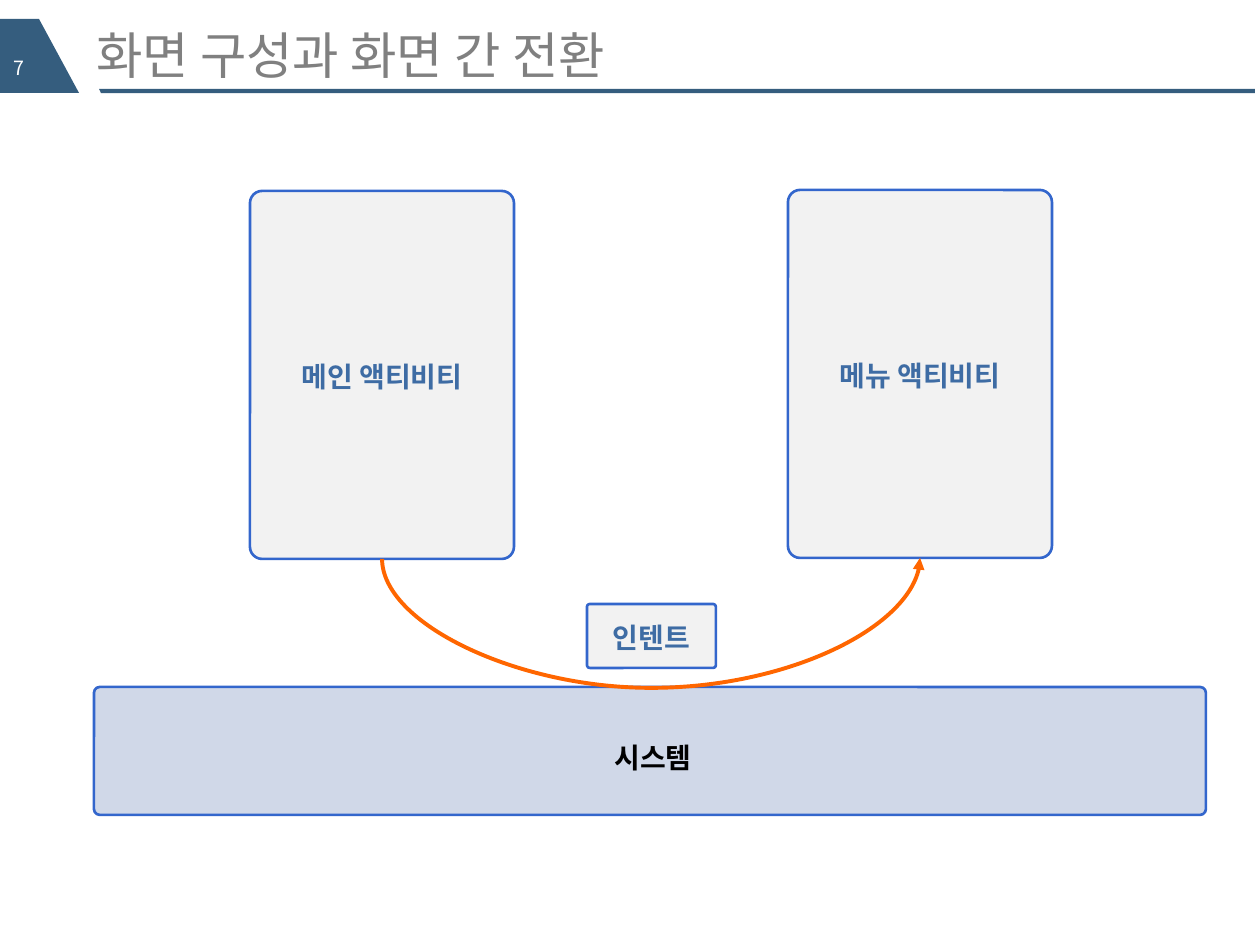
from dataclasses import dataclass

from lxml import etree
from pptx import Presentation
from pptx.dml.color import RGBColor
from pptx.enum.shapes import MSO_CONNECTOR, MSO_SHAPE
from pptx.enum.text import MSO_ANCHOR, PP_ALIGN
from pptx.oxml.ns import qn
from pptx.util import Pt

PX = 914400 // 126
FONT = "Noto Sans CJK KR"
NAVY, BLUE, ORANGE, GRAY = "355D7E", "3366CC", "FF6600", "F2F2F2"
ROUND = MSO_SHAPE.ROUNDED_RECTANGLE
CURVE = MSO_CONNECTOR.CURVE
MIDDLE, TOP = MSO_ANCHOR.MIDDLE, MSO_ANCHOR.TOP
CENTER = PP_ALIGN.CENTER


@dataclass
class Box:
    text: str
    left: int
    top: int
    width: int
    height: int
    fill: str = GRAY
    ink: str = "3E6CA4"
    lead: float = 1.1


@dataclass
class Label:
    text: str
    left: int
    top: int
    width: int
    height: int
    size: float
    ink: str
    anchor: MSO_ANCHOR


BANDS = [
    [(99, 89), (1255, 89), (1255, 93), (101, 93)],
    [(39, 19), (79, 93), (0, 93), (0, 19)],
]
LABELS = [
    Label("7", 1, 50, 73, 34, 11.2, "FFFFFF", TOP),
    Label("화면 구성과 화면 간 전환", 84, 32, 1124, 44, 28.8, "808080", MIDDLE),
]
MAIN = Box("메인 액티비티", 250, 191, 264, 368)
MENU = Box("메뉴 액티비티", 788, 190, 264, 368)
SYSTEM = Box(" 시스템", 94, 687, 1112, 128, "D0D8E8", "000000", 1.4)
INTENT = Box("인텐트", 587, 604, 129, 64)


def color(code: str) -> RGBColor:
    return RGBColor.from_string(code)


def paint(shape, code: str) -> None:
    shape.shadow.inherit = False
    shape.fill.solid()
    shape.fill.fore_color.rgb = color(code)


def write(shape, text: str, size: float, ink: str, anchor: MSO_ANCHOR):
    frame = shape.text_frame
    frame.word_wrap = True
    frame.vertical_anchor = anchor
    par = frame.paragraphs[0]
    par.text = text
    par.font.name = FONT
    par.font.size = Pt(size)
    par.font.color.rgb = color(ink)
    # Korean glyphs take the East Asian typeface
    props = par.font._element
    etree.SubElement(props, qn("a:ea"), typeface=FONT)
    return par


def draw_band(shapes, points: list[tuple[int, int]]) -> None:
    pen = shapes.build_freeform(*points[0], scale=PX)
    pen.add_line_segments(points[1:], close=True)
    band = pen.convert_to_shape()
    paint(band, NAVY)
    band.line.fill.background()


def draw_label(shapes, label: Label) -> None:
    area = (label.left, label.top, label.width, label.height)
    shape = shapes.add_textbox(*(n * PX for n in area))
    write(shape, label.text, label.size, label.ink, label.anchor)


def draw_box(shapes, box: Box) -> None:
    area = (box.left, box.top, box.width, box.height)
    shape = shapes.add_shape(ROUND, *(n * PX for n in area))
    shape.adjustments[0] = 0.046
    paint(shape, box.fill)
    shape.line.color.rgb = color(BLUE)
    shape.line.width = Pt(1.5)
    par = write(shape, box.text, 16, box.ink, MIDDLE)
    par.font.bold = True
    par.alignment = CENTER
    par.line_spacing = box.lead


def draw_arc(shapes, start: Box, end: Box, depth: int) -> None:
    """Sag from the bottom of one box to the bottom of the next, turned by 90 degrees."""
    left = start.left + start.width // 2
    right = end.left + end.width // 2
    low, high = start.top + start.height, end.top + end.height
    thick, span = low - high, right - left
    mid_x, mid_y = (left + right) / 2, (low + high) / 2
    ends = (mid_x + thick / 2, mid_y + span / 2,
            mid_x - thick / 2, mid_y - span / 2)
    arc = shapes.add_connector(CURVE, *(int(n * PX) for n in ends))
    arc.line.color.rgb = color(ORANGE)
    arc.line.width = Pt(2.25)
    props = arc._element.spPr
    props.find(qn("a:xfrm")).set("rot", str(90 * 60000))
    guides = props.find(qn("a:prstGeom")).get_or_add_avLst()
    bend = -depth * 100000 // thick
    etree.SubElement(guides, qn("a:gd"), name="adj1", fmla=f"val {bend}")
    etree.SubElement(arc.line._get_or_add_ln(), qn("a:tailEnd"), type="triangle")
    etree.SubElement(props, qn("a:effectLst"))


def main() -> None:
    deck = Presentation()
    deck.slide_width, deck.slide_height = 1260 * PX, 945 * PX
    shapes = deck.slides.add_slide(deck.slide_layouts[6]).shapes
    for points in BANDS:
        draw_band(shapes, points)
    for label in LABELS:
        draw_label(shapes, label)
    for box in (MAIN, SYSTEM, MENU):
        draw_box(shapes, box)
    draw_arc(shapes, MAIN, MENU, 130)
    draw_box(shapes, INTENT)
    deck.save("out.pptx")


if __name__ == "__main__":
    main()
